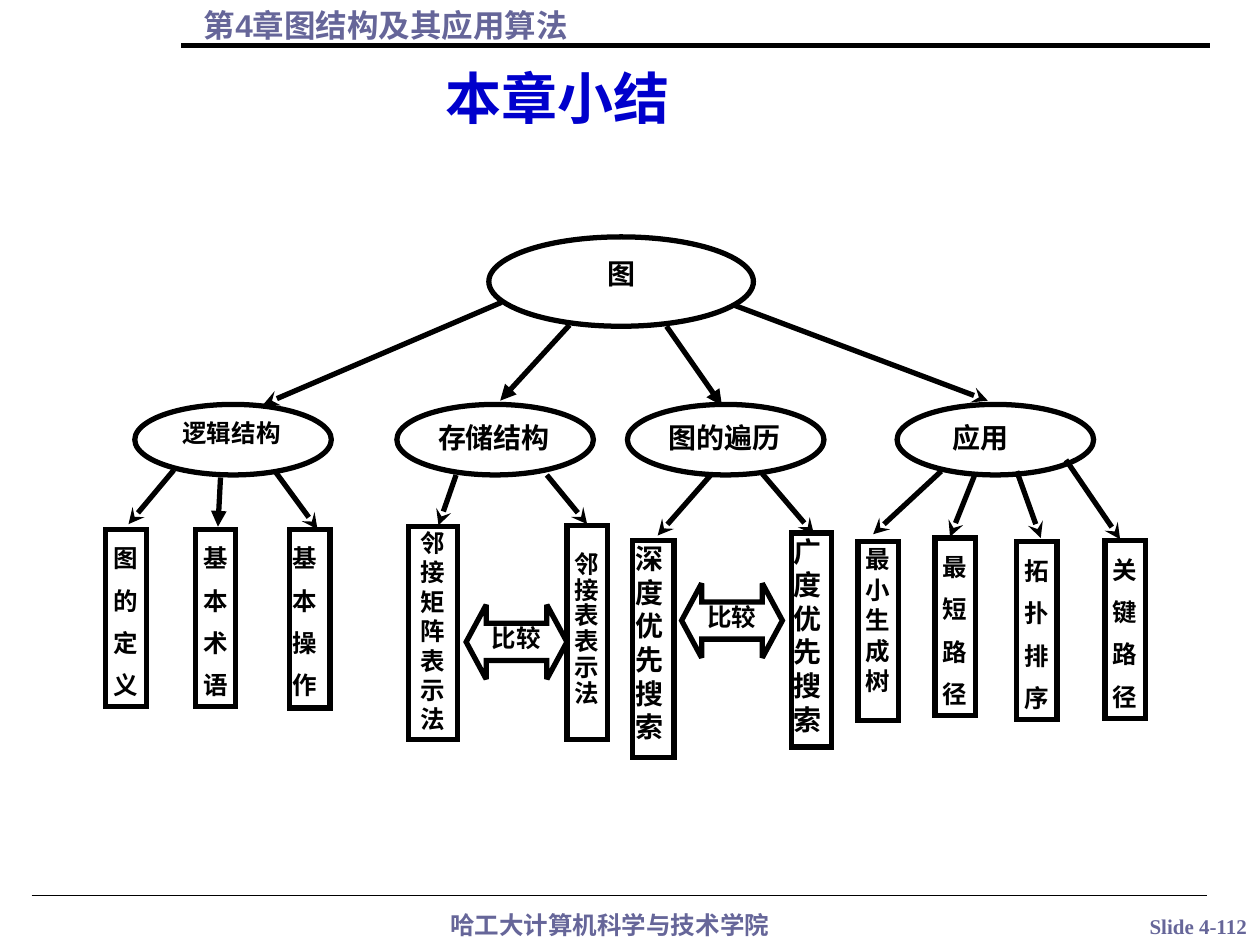
import dataclasses
import pptx
import pptx.dml.color
import pptx.enum.shapes
import pptx.enum.text
import pptx.oxml.ns
import pptx.util
from lxml import etree

COLORS = {"ink": "000000", "muted": "666699", "title": "0000CC"}
COLUMNS, ROWS = 100, 75
WIDTH, HEIGHT = pptx.util.Inches(10), pptx.util.Inches(7.5)
SHAPES = pptx.enum.shapes.MSO_SHAPE
ALIGN = pptx.enum.text.PP_ALIGN
ANCHOR = pptx.enum.text.MSO_ANCHOR
SERIF, SANS, HAN = "Times New Roman", "Arial", "Noto Sans CJK SC"


@dataclasses.dataclass
class Leaf:
    """A vertical label and the arrow to it, relative to its branch."""
    words: str
    box: tuple
    start: tuple
    end: tuple
    head: str = "stealth"
    size: int = 14
    spacing: float = 1.44
    align: ALIGN = ALIGN.CENTER
    font: str = SERIF
    top: float = 0.1


def grid(x, y):
    """Turn columns and rows into lengths on the slide."""
    return round(x * WIDTH / COLUMNS), round(y * HEIGHT / ROWS)


def place(box, origin=(0, 0)):
    """Turn a box relative to an origin into slide lengths."""
    x, y, w, h = box
    return *grid(origin[0] + x, origin[1] + y), *grid(w, h)


def color(name):
    """Look up a colour."""
    return pptx.dml.color.RGBColor.from_string(COLORS[name])


def add_element(parent, tag, **attributes):
    """Append a drawing element."""
    return etree.SubElement(parent, pptx.oxml.ns.qn(tag), attributes)


def write(part, words, size, font=SERIF, ink="ink", align=ALIGN.CENTER,
          insets=(1, 0.5), anchor=ANCHOR.TOP, spacing=1.0, indent=0, top=None):
    """Set and format one paragraph of bold text."""
    frame = part.text_frame
    frame.text = words
    frame.word_wrap = True
    frame.vertical_anchor = anchor
    across, down = grid(*insets)
    frame.margin_left = across + grid(indent, 0)[0]
    frame.margin_right = across
    frame.margin_top = down if top is None else grid(0, top)[1]
    frame.margin_bottom = down
    paragraph = frame.paragraphs[0]
    paragraph.alignment = align
    paragraph.line_spacing = spacing
    for run in paragraph.runs:
        run.font.size = pptx.util.Pt(size)
        run.font.bold = True
        run.font.name = font
        run.font.color.rgb = color(ink)
        add_element(run.font._element, "a:ea", typeface=HAN)


def add_text(slide, box, words, size, **style):
    """Add a text box."""
    label = slide.shapes.add_textbox(*place(box))
    write(label, words, size, **style)
    return label


def add_outline(slide, kind, box, origin=(0, 0)):
    """Add an unfilled shape with a heavy outline."""
    outline = slide.shapes.add_shape(kind, *place(box, origin))
    outline.shadow.inherit = False
    outline.fill.background()
    outline.line.color.rgb = color("ink")
    outline.line.width = pptx.util.Pt(3)
    add_element(outline.line._get_or_add_ln(), "a:miter", lim="800000")
    return outline


def add_line(slide, start, end, head=None, width=3, origin=(0, 0)):
    """Add a straight line, with an arrowhead if one is named."""
    points = [grid(origin[0] + x, origin[1] + y) for x, y in (start, end)]
    line = slide.shapes.add_connector(
        pptx.enum.shapes.MSO_CONNECTOR.STRAIGHT, *points[0], *points[1])
    line.line.color.rgb = color("ink")
    line.line.width = pptx.util.Pt(width)
    if head:
        add_element(line.line._get_or_add_ln(), "a:tailEnd", type=head)
    add_element(line._element.spPr, "a:effectLst")


def add_frame(slide, box):
    """Add the running header, title and footer."""
    x, y, w, h = box
    bottom = y + h
    add_text(slide, (x + 15.2, y, 80.3, 4), "第4章图结构及其应用算法", 18,
             font=SANS, ink="muted", align=ALIGN.LEFT)
    add_line(slide, (x + 14.4, y + 3.6), (x + 96, y + 3.6))
    add_text(slide, (x + 13.4, y + 4.2, 61.7, 6.7), "本章小结", 32,
             font=SANS, ink="title", anchor=ANCHOR.BOTTOM)
    add_line(slide, (x + 2.5, bottom - 3.9), (x + 95.8, bottom - 3.9), width=0.75)
    add_text(slide, (x + 30.4, bottom - 3.3, 36, 3.4), "哈工大计算机科学与技术学院", 14,
             font=HAN, ink="muted")
    number = add_text(slide, (x + 87.7, bottom - 3, 14.8, 3), "Slide 4-112", 12, ink="muted")
    number.text_frame.word_wrap = False


def add_root(slide, box):
    """Add the root topic and its arrows to the branches."""
    root = add_outline(slide, SHAPES.OVAL, box)
    write(root, "图", 16)
    arrows = [((1, 5.2), (-17.9, 13.3), "stealth"), ((6.4, 7), (0.9, 13), "triangle"),
              ((14.1, 7.1), (18.5, 13.4), "triangle"), ((19.4, 5.4), (39.6, 13), "stealth")]
    for start, end, head in arrows:
        add_line(slide, start, end, head, origin=box[:2])


def add_branch(slide, box, topic, leaves, size=16, spacing=1.0, indent=0, comparison=None):
    """Add a branch topic, its leaves and an optional comparison arrow."""
    origin = box[:2]
    oval = add_outline(slide, SHAPES.OVAL, box)
    write(oval, topic, size, align=ALIGN.JUSTIFY, spacing=spacing, indent=indent)
    for leaf in leaves:
        label = add_outline(slide, SHAPES.RECTANGLE, leaf.box, origin)
        write(label, leaf.words, leaf.size, font=leaf.font, align=leaf.align,
              insets=(0.2, 0.1), spacing=leaf.spacing, top=leaf.top)
        add_line(slide, leaf.start, leaf.end, leaf.head, origin=origin)
    if comparison:
        arrow = add_outline(slide, SHAPES.LEFT_RIGHT_ARROW, (*comparison, 8, 5.9), origin)
        arrow.adjustments[0], arrow.adjustments[1] = 0.5, 0.27
        write(arrow, "比较", 14, insets=(0, 0))


def main():
    """Build the chapter summary slide."""
    deck = pptx.Presentation()
    deck.slide_width, deck.slide_height = WIDTH, HEIGHT
    slide = deck.slides.add_slide(deck.slide_layouts[6])
    add_frame(slide, (0, 0, COLUMNS, ROWS))
    add_root(slide, (38.8, 18.8, 21, 7.1))
    top, size = 32.1, (15.6, 5.6)
    add_branch(slide, (10.7, top, *size), "逻辑结构", [
        Leaf("图的定义", (-2.3, 9.9, 3.2, 14.1), (3.1, 5.2), (-0.5, 9.5)),
        Leaf("基本术语", (4.8, 9.9, 3.2, 14.1), (6.8, 5.8), (6.6, 9.7), head="triangle"),
        Leaf("基本操作", (12.3, 9.9, 3.2, 14.2), (11.2, 5.4), (14.5, 9.9),
             align=ALIGN.LEFT, font=SANS),
    ], size=14, spacing=0.9, indent=0.5)
    add_branch(slide, (31.5, top, *size), "存储结构", [
        Leaf("邻接矩阵表示法", (0.9, 9.7, 3.9, 16.9), (4.7, 5.6), (3.3, 9.6), spacing=1.0),
        Leaf("邻接表表示法", (13.5, 9.6, 3.2, 17), (11.9, 5.6), (15.1, 9.5),
             spacing=0.88, top=2.15),
    ], comparison=(5.5, 15.9))
    add_branch(slide, (49.8, top, *size), "图的遍历", [
        Leaf("深度优先搜索", (0.4, 10.8, 3.3, 17.2), (6.7, 5.5), (2.4, 10.4),
             size=16, spacing=1.0, align=ALIGN.JUSTIFY),
        Leaf("广度优先搜索", (13, 10.2, 3.2, 17), (10.7, 5.5), (14.8, 10.3),
             size=16, spacing=1.0, align=ALIGN.JUSTIFY),
    ], comparison=(4.3, 14.2))
    add_branch(slide, (71.2, top, *size), "应用", [
        Leaf("最小生成树", (-3.1, 10.9, 3.2, 14.2), (3.5, 5.3), (-1.9, 10.3), spacing=1.04),
        Leaf("最短路径", (3, 10.6, 3.2, 14.1), (6.2, 5.5), (4.2, 10.5)),
        Leaf("拓扑排序", (9.5, 10.9, 3.2, 14.1), (9.5, 5.3), (11.4, 10.6)),
        Leaf("关键路径", (16.5, 10.8, 3.2, 14.1), (13.4, 4.4), (17.7, 10.7)),
    ], indent=1.1)
    deck.save("out.pptx")


if __name__ == "__main__":
    main()
